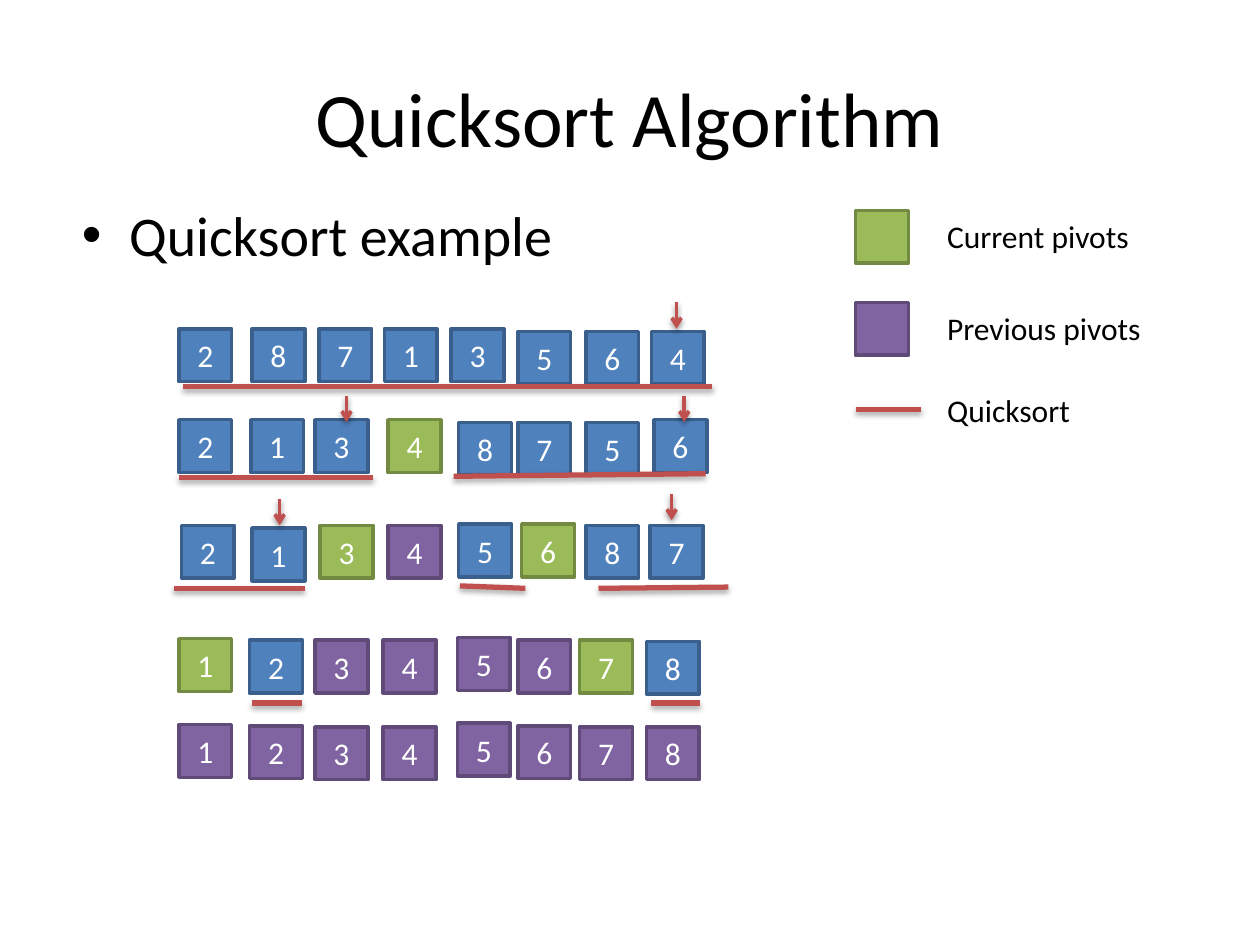
from lxml import etree
from pptx import Presentation
from pptx.dml.color import RGBColor
from pptx.enum.shapes import MSO_CONNECTOR, MSO_SHAPE
from pptx.enum.text import MSO_ANCHOR, MSO_AUTO_SIZE, PP_ALIGN
from pptx.oxml import parse_xml
from pptx.oxml.ns import nsdecls, qn
from pptx.util import Pt

# Content
TITLE = "Quicksort Algorithm"
BULLET = "Quicksort example"
FONT = "Calibri"
COLORS = {"text": "000000", "digit": "FFFFFF", "mark": "C0504D"}
ROLES = {  # role: (fill, outline); b = open, g = current pivot, p = previous pivot
    "b": ("4F81BD", "3A5F8C"),
    "g": ("9BBB59", "738A42"),
    "p": ("8064A2", "5F4A78"),
}
BOX = 30.2
LATE_LEFTS = [102.2, 142.6, 180, 218.9, 261.4, 295.9, 331.2, 369.4]

# Steps of the sort: digits, roles, top, left edges, drop of each box below top
STEPS = [
    ("28713564", "bbbbbbbb", 187.9,
     [102.2, 144, 182.2, 219.6, 257.8, 295.9, 334.8, 372.2],
     [0, 0, 0, 0, 0, 1.5, 1.5, 1.5]),
    ("21348756", "bbbgbbbb", 239.8,
     [102.2, 143.3, 180, 221.8, 262.1, 295.9, 334.8, 373.7],
     [0, 0, 0, 0, 1.5, 1.5, 1.5, 0]),
    ("21345687", "bbgpbgbb", 299.5,
     [103.7, 144, 182.9, 221.8, 262.1, 298.1, 334.8, 371.5],
     [0.7, 2.2, 0.7, 0.7, 0, 0, 0.7, 0.7]),
    ("12345678", "gbppppgb", 364.3, LATE_LEFTS,
     [0.7, 1.5, 1.5, 1.5, 0, 1.5, 1.5, 2.2]),
    ("12345678", "pppppppp", 413.3, LATE_LEFTS,
     [0.7, 1.4, 2.1, 2.1, 0, 1.4, 2.1, 2.1]),
]

# Underlines of the parts being sorted: x1, y1, x2, y2
RANGES = [
    (104.4, 221, 406.8, 221),
    (102.2, 272.9, 213.1, 272.9), (259.2, 272.2, 403.2, 270.7),
    (99.4, 336.2, 174.2, 336.2), (262.8, 334.8, 300.2, 336.2),
    (342, 336.2, 416.2, 335.5),
    (144, 401.8, 172.8, 401.8), (372.2, 401.8, 400.3, 401.8),
]

# Arrows on the chosen pivots: x, top
ARROWS = [(386.6, 172.8), (198, 226.1), (391, 226.1), (159.8, 285.1), (383.8, 282.2)]
ARROW_LENGTH = 15.1

# Legend: label, role (None for a line), key top, label top, label width
LEGEND_LEFT, LABEL_LEFT = 488.9, 534.2
LEGEND = [
    ("Current pivots", "g", 120.2, 120.2, 144),
    ("Previous pivots", "p", 172.8, 172.8, 156.2),
    ("Quicksort", None, 234, 219.6, 156.2),
]


def rgb(value):
    return RGBColor.from_string(value)


def write(frame, text, size, color, align=None):
    paragraph = frame.paragraphs[0]
    paragraph.alignment = align
    run = paragraph.add_run()
    run.text = text
    run.font.name, run.font.size = FONT, Pt(size)
    run.font.color.rgb = rgb(COLORS[color])
    return paragraph


def place(shape, left, top, width, height):
    shape.left, shape.top = Pt(left), Pt(top)
    shape.width, shape.height = Pt(width), Pt(height)


def add_box(left, top, role, digit=None):
    box = shapes.add_shape(MSO_SHAPE.RECTANGLE, Pt(left), Pt(top), Pt(BOX), Pt(BOX))
    fill, outline = ROLES[role]
    box.shadow.inherit = False
    box.fill.solid()
    box.fill.fore_color.rgb = rgb(fill)
    box.line.color.rgb = rgb(outline)
    box.line.width = Pt(2)
    if digit:
        box.text_frame.vertical_anchor = MSO_ANCHOR.MIDDLE
        write(box.text_frame, digit, 18, "digit", PP_ALIGN.CENTER)


def add_mark(x1, y1, x2, y2, arrow=False):
    mark = shapes.add_connector(MSO_CONNECTOR.STRAIGHT, Pt(x1), Pt(y1), Pt(x2), Pt(y2))
    mark.line.color.rgb = rgb(COLORS["mark"])
    mark.line.width = Pt(2 if arrow else 3)
    properties = mark.element.spPr
    if arrow:
        etree.SubElement(properties.find(qn("a:ln")), qn("a:tailEnd"), type="arrow")
    distance, alpha = (20000, 38000) if arrow else (23000, 35000)
    properties.append(parse_xml(
        f'<a:effectLst {nsdecls("a")}><a:outerShdw blurRad="40000" dist="{distance}" '
        f'dir="5400000" rotWithShape="0"><a:srgbClr val="000000">'
        f'<a:alpha val="{alpha}"/></a:srgbClr></a:outerShdw></a:effectLst>'))


prs = Presentation()
prs.slide_width, prs.slide_height = Pt(720), Pt(540)
slide = prs.slides.add_slide(prs.slide_layouts[1])
shapes = slide.shapes

# Title and bullet
title, body = shapes.title, slide.placeholders[1]
place(title, 36, 21.6, 648, 90)
title.text_frame.vertical_anchor = MSO_ANCHOR.MIDDLE
write(title.text_frame, TITLE, 44, "text", PP_ALIGN.CENTER)
place(body, 39.6, 110.9, 648, 48.2)
write(body.text_frame, BULLET, 32, "text")

# Rows of boxes
for digits, roles, top, lefts, drops in STEPS:
    for digit, role, left, drop in zip(digits, roles, lefts, drops):
        add_box(left, top + drop, role, digit)

# Underlines and arrows
for ends in RANGES:
    add_mark(*ends)
for x, top in ARROWS:
    add_mark(x, top, x, top + ARROW_LENGTH, arrow=True)

# Legend
for label, role, key_top, label_top, width in LEGEND:
    if role:
        add_box(LEGEND_LEFT, key_top, role)
    else:
        add_mark(LEGEND_LEFT, key_top, LEGEND_LEFT + 37.4, key_top)
    frame = shapes.add_textbox(Pt(LABEL_LEFT), Pt(label_top), Pt(width), Pt(29)).text_frame
    frame.word_wrap = True
    frame.auto_size = MSO_AUTO_SIZE.SHAPE_TO_FIT_TEXT
    write(frame, label, 18, "text")

prs.save("out.pptx")
